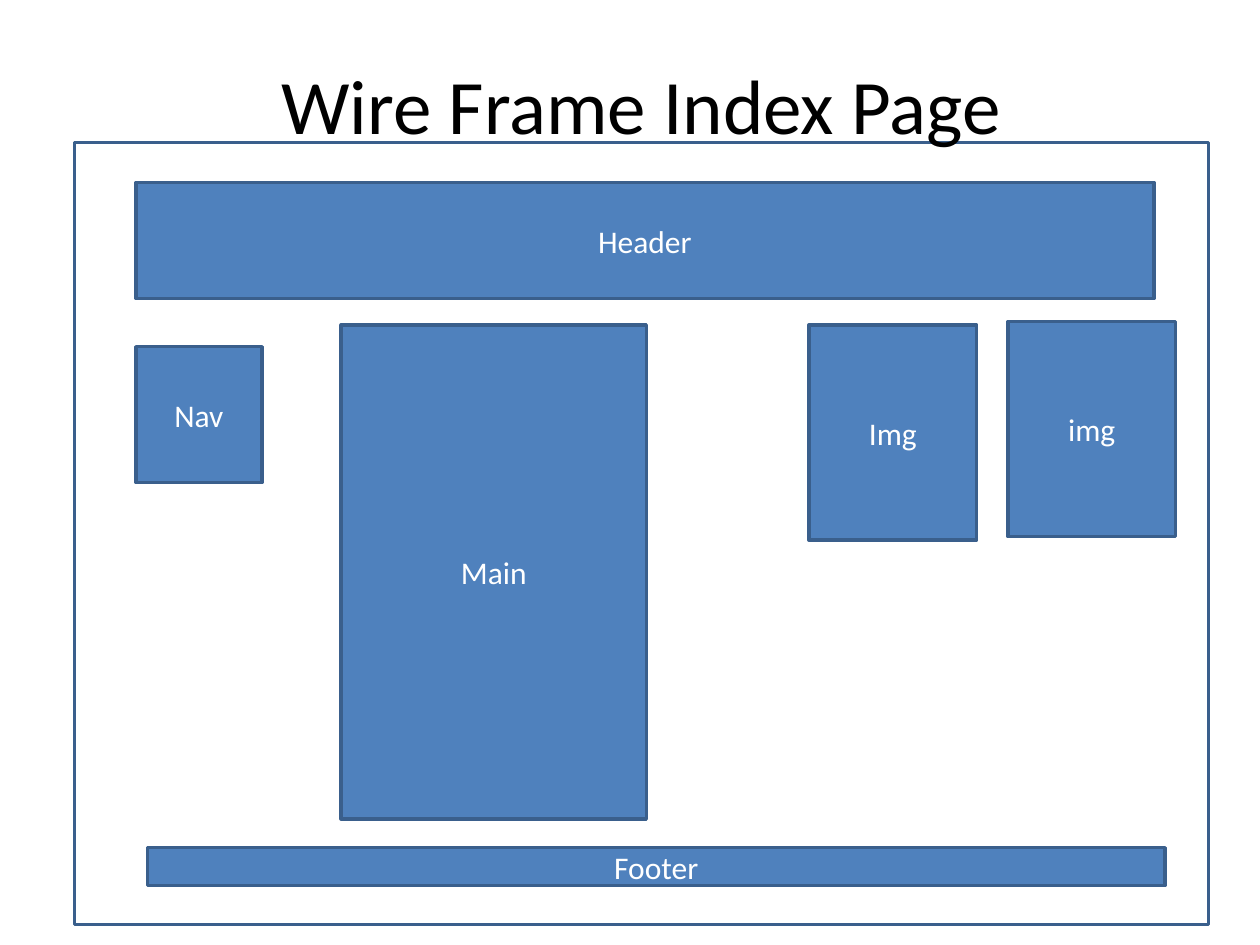
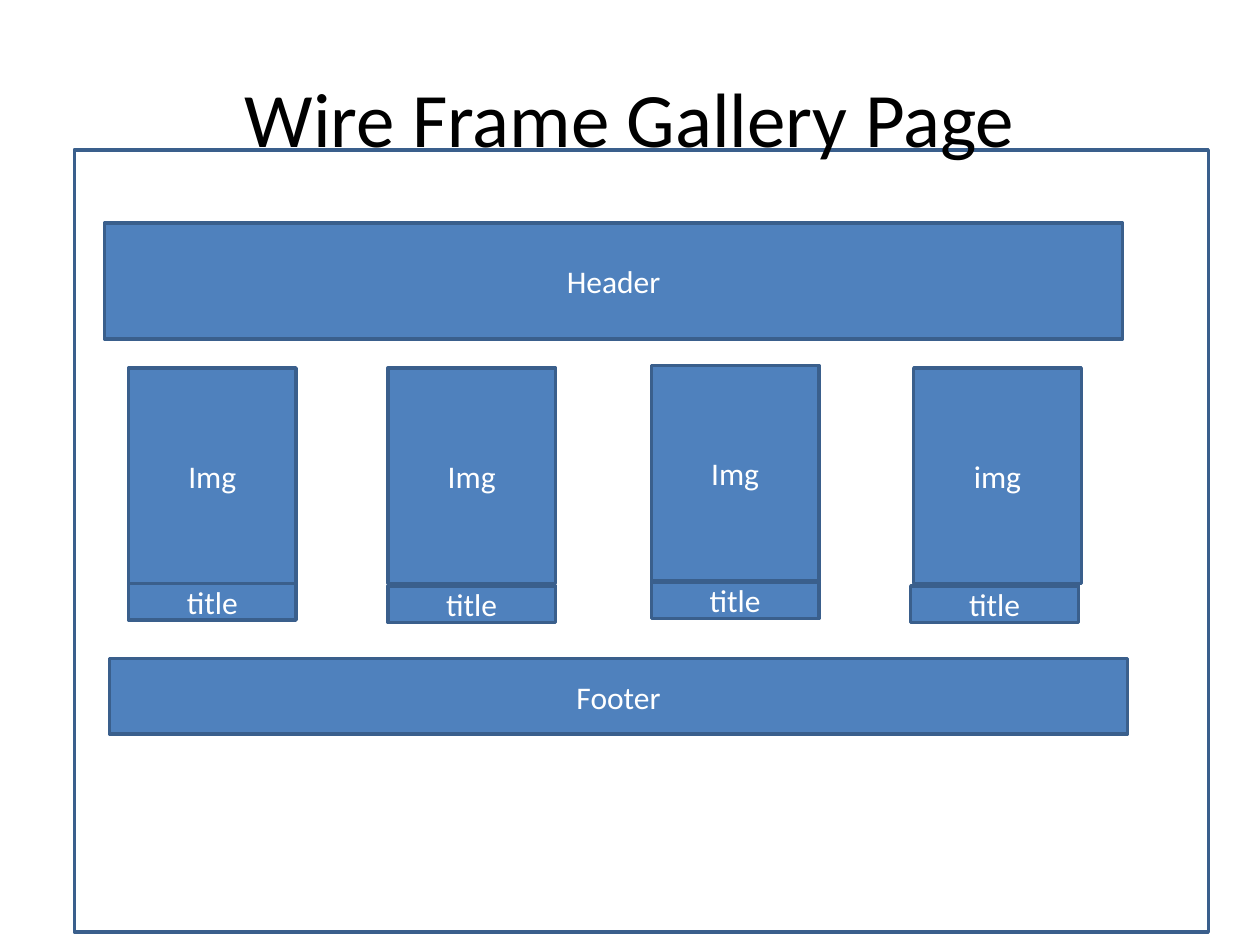
from dataclasses import dataclass

from pptx import Presentation
from pptx.dml.color import RGBColor as Color
from pptx.enum.shapes import MSO_SHAPE as Shape
from pptx.enum.text import MSO_ANCHOR as Anchor, PP_ALIGN as Align
from pptx.util import Cm, Pt


@dataclass(frozen=True)
class Theme:
    font: str = "Calibri"
    title_size: int = 44
    label_size: int = 18
    line_width: int = 2
    page: Color = Color(0xFF, 0xFF, 0xFF)
    block: Color = Color(0x4F, 0x81, 0xBD)
    outline: Color = Color(0x3A, 0x5F, 0x8C)
    title: Color = Color(0x00, 0x00, 0x00)
    label: Color = Color(0xFF, 0xFF, 0xFF)


theme = Theme()

# Sizes that both pages share, in centimetres
FRAME_LEFT, FRAME_SIZE = 1.5, (22.86, 15.77)
TITLE_SIZE = (22.86, 3.18)
BAND_WIDTH, HEADER_HEIGHT = 20.52, 2.34
IMAGE_SIZE = (3.38, 4.34)
CAPTION_SIZE = (3.38, 0.74)


def write_text(shape, text, size, color):
    frame = shape.text_frame
    frame.word_wrap = True
    frame.vertical_anchor = Anchor.MIDDLE
    paragraph = frame.paragraphs[0]
    paragraph.text = text
    paragraph.alignment = Align.CENTER
    paragraph.font.name = theme.font
    paragraph.font.size = Pt(size)
    paragraph.font.color.rgb = color


def add_block(slide, left, top, width, height, fill, label=None):
    shape = slide.shapes.add_shape(
        Shape.RECTANGLE, Cm(left), Cm(top), Cm(width), Cm(height))
    shape.shadow.inherit = False
    shape.fill.solid()
    shape.fill.fore_color.rgb = fill
    shape.line.color.rgb = theme.outline
    shape.line.width = Pt(theme.line_width)
    if label:
        write_text(shape, label, theme.label_size, theme.label)


# Index page: label, left, top, width, height
index_blocks = [
    ("Header", 2.74, 3.68, BAND_WIDTH, HEADER_HEIGHT),
    ("Nav", 2.74, 6.99, 2.54, 2.74),
    ("Main", 6.88, 6.55, 6.15, 9.96),
    ("Img", 16.31, 6.55, *IMAGE_SIZE),
    ("Footer", 2.97, 17.09, BAND_WIDTH, 0.76),
    ("img", 20.32, 6.48, *IMAGE_SIZE),
]

# Gallery page: two bands, then four images with captions
gallery_blocks = [
    ("Header", 2.11, 4.5, BAND_WIDTH, HEADER_HEIGHT),
    ("Footer", 2.21, 13.28, BAND_WIDTH, 1.52),
]
gallery_items = [
    # label, image left and top, caption left and top
    ("Img", 2.59, 7.42, 2.59, 11.76),
    ("Img", 7.82, 7.42, 7.82, 11.81),
    ("Img", 13.13, 7.37, 13.13, 11.73),
    ("img", 18.42, 7.42, 18.36, 11.81),
]
for label, image_left, image_top, caption_left, caption_top in gallery_items:
    gallery_blocks += [
        (label, image_left, image_top, *IMAGE_SIZE),
        ("title", caption_left, caption_top, *CAPTION_SIZE),
    ]

# Title, title left and top, frame top, blocks
pages = [
    ("Wire Frame Index Page", 1.5, 0.51, 2.87, index_blocks),
    ("Wire Frame Gallery Page", 1.27, 0.76, 3.02, gallery_blocks),
]

presentation = Presentation()
presentation.slide_width = Cm(25.4)
presentation.slide_height = Cm(19.05)
blank_layout = presentation.slide_layouts[6]

for title, title_left, title_top, frame_top, blocks in pages:
    slide = presentation.slides.add_slide(blank_layout)

    # Page frame, behind the title
    add_block(slide, FRAME_LEFT, frame_top, *FRAME_SIZE, theme.page)

    # Title
    title_box = slide.shapes.add_textbox(
        Cm(title_left), Cm(title_top), *map(Cm, TITLE_SIZE))
    write_text(title_box, title, theme.title_size, theme.title)

    # Labelled blocks
    for label, left, top, width, height in blocks:
        add_block(slide, left, top, width, height, theme.block, label)

presentation.save("out.pptx")
